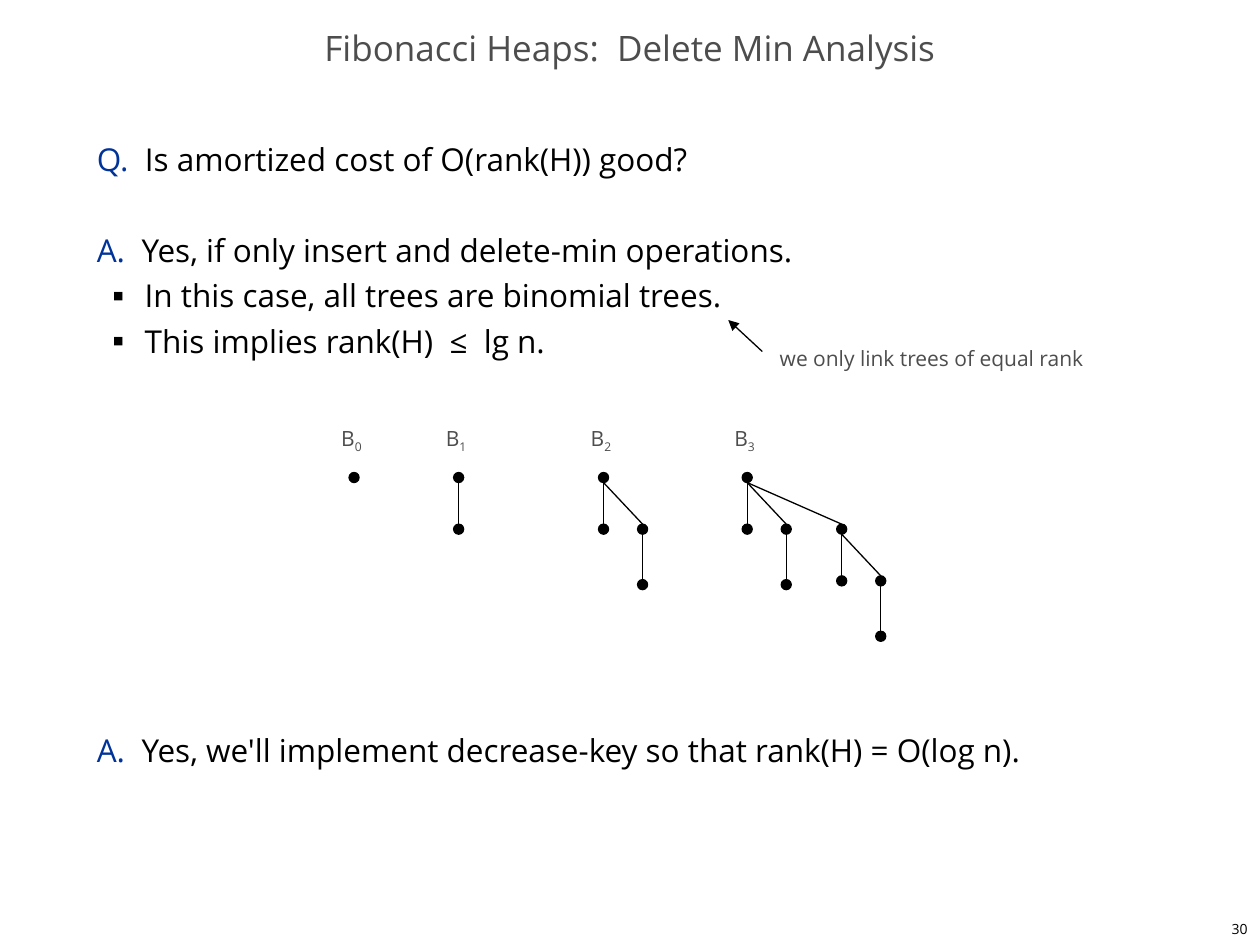
"""Build the slide on the amortized cost of delete-min in Fibonacci heaps."""
from lxml.etree import SubElement
from pptx import Presentation
from pptx.dml.color import RGBColor
from pptx.enum.shapes import MSO_CONNECTOR, MSO_SHAPE
from pptx.enum.text import MSO_ANCHOR, PP_ALIGN
from pptx.oxml.ns import qn
from pptx.util import Inches, Pt

BLACK = RGBColor(0x00, 0x00, 0x00)
DOT = RGBColor(0x01, 0x00, 0x00)
BLUE = RGBColor(0x00, 0x33, 0x99)
GRAY = RGBColor(0x4D, 0x4D, 0x4D)
SIZE = 0.08
OFFSETS = (0, 0.31, 0.75)

prs = Presentation()
prs.slide_width, prs.slide_height = Inches(10), Inches(7.5)
s = prs.slides.add_slide(prs.slide_layouts[6])


def add_line(x1, y1, x2, y2):
    ln = s.shapes.add_connector(
        MSO_CONNECTOR.STRAIGHT, Inches(x1), Inches(y1), Inches(x2), Inches(y2))
    ln.line.color.rgb = BLACK
    ln.line.width = Pt(0.75)
    SubElement(ln._element.spPr, qn("a:effectLst"))
    return ln


def add_tree(rank, x, y, gap):
    sp = s.shapes.add_shape(
        MSO_SHAPE.OVAL, Inches(x), Inches(y), Inches(SIZE), Inches(SIZE))
    sp.shadow.inherit = False
    sp.fill.solid()
    sp.fill.fore_color.rgb = DOT
    sp.line.color.rgb = BLACK
    sp.line.width = Pt(0.75)
    for child, dx in enumerate(OFFSETS[:rank]):
        add_line(x + SIZE / 2, y + SIZE, x + dx + SIZE / 2, y + gap)
        add_tree(child, x + dx, y + gap, 0.44 if child == 1 else 0.41)


TITLE = {"size": 20, "color": GRAY}
NOTE = {"size": 12, "color": GRAY}
LEAD = {"size": 18, "color": BLUE}
BODY = {"size": 18, "color": BLACK}
SUB = {"size": 12, "color": GRAY, "baseline": "-25000"}
CENTER = {"alignment": PP_ALIGN.CENTER, "line_spacing": 0.7}
RIGHT = {"alignment": PP_ALIGN.RIGHT}
LINE = {"line_spacing": Pt(26)}
AFTER_GAP = {"line_spacing": Pt(26), "space_before": Pt(26)}
AFTER_TREES = {"line_spacing": Pt(26), "space_before": Pt(8 * 26)}
BULLET = {"line_spacing": Pt(26), "level": 1}
WRAP = {"word_wrap": True}
MIDDLE = {"word_wrap": True, "vertical_anchor": MSO_ANCHOR.MIDDLE}
FREE = {"word_wrap": False}

trees = [(rank, x) for rank, x in enumerate((2.77, 3.6, 4.75, 5.89))]
boxes = [
    ((7.92, 7.25, 2.08, 0.25), MIDDLE, [
        (RIGHT, [("30", {"size": 8, "color": BLACK})])]),
    ((0.67, 1, 8.58, 5.92), WRAP, [
        (LINE, [("Q.  ", LEAD), ("Is amortized cost of O(rank(H)) good?", BODY)]),
        (AFTER_GAP, [("A.  ", LEAD),
                     ("Yes, if only insert and delete-min operations.", BODY)]),
        (BULLET, [("In this case, all trees are binomial trees.", BODY)]),
        (BULLET, [("This implies rank(H)  ≤  lg n.", BODY)]),
        (AFTER_TREES, [
            ("A.  ", LEAD),
            ("Yes, we'll implement decrease-key so that rank(H) = O(log n).", BODY)]),
    ]),
    ((0, 0.17, 10, 0.5), MIDDLE, [
        (CENTER, [("Fibonacci Heaps:  Delete Min Analysis", TITLE)])]),
    ((6.09, 2.69, 2.76, 0.3), FREE, [
        ({}, [("we only link trees of equal rank", NOTE)])]),
]
for rank, x in trees:
    boxes.append(((x - 0.16, 3.33, 0.37, 0.3), FREE, [
        ({}, [("B", NOTE), (str(rank), SUB)])]))

for box, frame, paragraphs in boxes:
    tf = s.shapes.add_textbox(*map(Inches, box)).text_frame
    for name, value in frame.items():
        setattr(tf, name, value)
    for i, (layout, runs) in enumerate(paragraphs):
        p = tf.add_paragraph() if i else tf.paragraphs[0]
        for name, value in layout.items():
            setattr(p, name, value)
        if p.level:
            pPr = p._p.get_or_add_pPr()
            pPr.set("marL", str(Inches(0.38)))
            pPr.set("indent", str(Inches(-0.25)))
            SubElement(pPr, qn("a:buSzPct"), val="35000")
            SubElement(pPr, qn("a:buFont"), typeface="Open Sans")
            SubElement(pPr, qn("a:buChar"), char="■")
        for text, style in runs:
            r = p.add_run()
            r.text = text
            r.font.name = "Open Sans"
            r.font.size = Pt(style["size"])
            r.font.color.rgb = style["color"]
            if "baseline" in style:
                r._r.get_or_add_rPr().set("baseline", style["baseline"])

for rank, x in trees:
    add_tree(rank, x, 3.75, 0.41)

arrow = add_line(6.05, 2.79, 5.78, 2.54)
SubElement(arrow.line._get_or_add_ln(), qn("a:tailEnd"), type="triangle")

prs.save("out.pptx")
